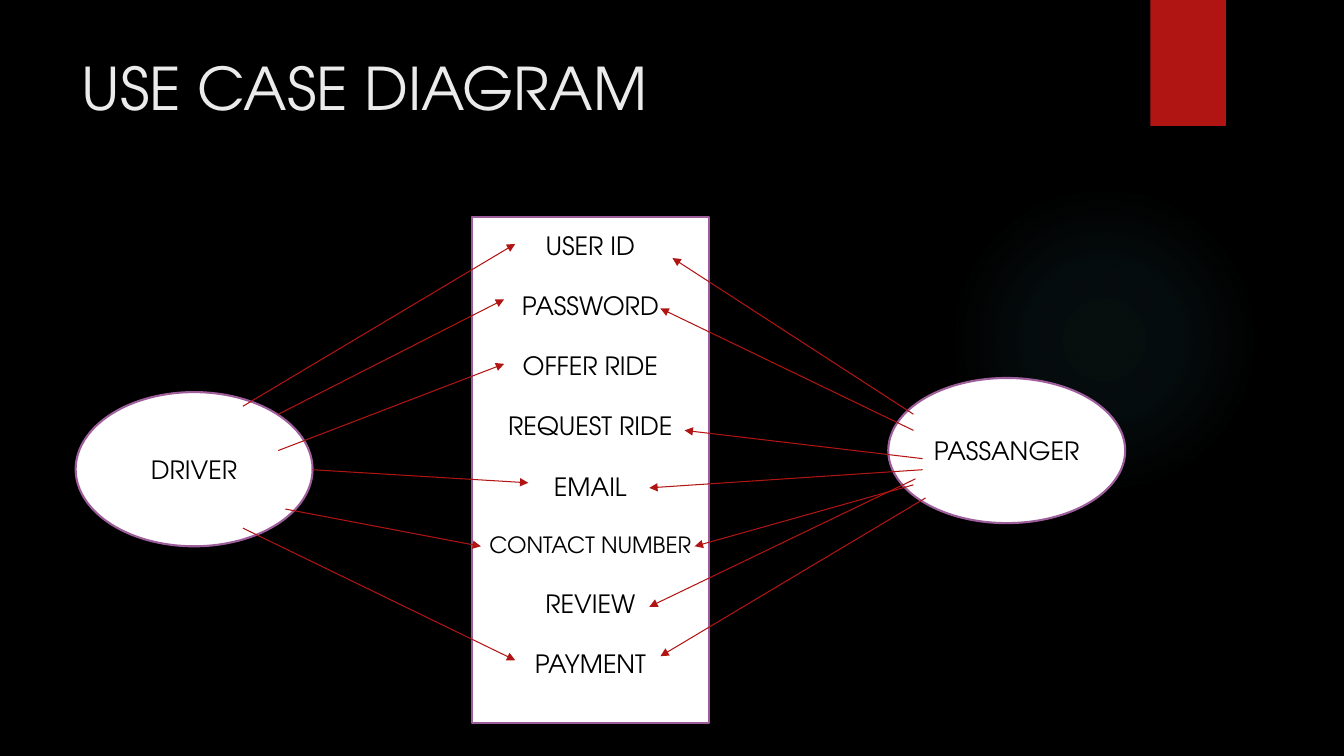
import dataclasses

import pptx
import pptx.dml.color
import pptx.enum.shapes
import pptx.enum.text
import pptx.oxml
import pptx.oxml.ns
import pptx.util

Inches = pptx.util.Inches
Pt = pptx.util.Pt
SHAPE = pptx.enum.shapes.MSO_SHAPE
ALIGN = pptx.enum.text.PP_ALIGN
ANCHOR = pptx.enum.text.MSO_ANCHOR


@dataclasses.dataclass(frozen=True)
class Theme:
    font: str = "TeX Gyre Adventor"
    background: str = "000000"
    title: str = "EBEBEB"
    text: str = "000000"
    panel: str = "FFFFFF"
    outline: str = "9E5E9B"
    accent: str = "B01513"
    glow: str = "50B9C1"
    title_size: float = 42
    body_size: float = 18
    small_size: float = 16
    row_gap: float = 21.5
    outline_width: float = 1.5
    arrow_width: float = 0.75


THEME = Theme()

# Boxes are left, top, width, height in inches
TITLE_BOX = (0.71, 0.46, 10.29, 1.53)
GLOW_BOX = (9.41, 1.83, 3.08, 3.08)
RIBBON_BOX = (11.41, 0, 0.75, 1.25)
CASES_BOX = (4.68, 2.15, 2.35, 5.02)
DRIVER_BOX = (0.75, 3.89, 2.35, 1.53)
PASSENGER_BOX = (8.81, 3.75, 2.35, 1.44)

USE_CASES = ["USER ID", "PASSWORD", "OFFER RIDE", "REQUEST RIDE",
             "EMAIL", "CONTACT NUMBER", "REVIEW", "PAYMENT"]

# Arrows: start offset within the actor, end offset within the use-case panel
DRIVER_ARROWS = [
    ((1.66, 0.14), (0.43, 0.27)),
    ((2.01, 0.22), (0.32, 0.82)),
    ((2.01, 0.58), (0.32, 1.46)),
    ((2.35, 0.77), (0.56, 2.64)),
    ((2.08, 1.16), (0.09, 3.27)),
    ((1.66, 1.35), (0.43, 4.40)),
]
PASSENGER_ARROWS = [
    ((0.25, 0.36), (1.99, 0.41)),
    ((0.25, 0.52), (1.87, 0.91)),
    ((0.34, 0.80), (2.11, 2.12)),
    ((0.34, 0.91), (1.76, 2.69)),
    ((0.25, 1.06), (2.21, 3.27)),
    ((0.27, 1.00), (1.76, 3.87)),
    ((0.37, 1.19), (1.87, 4.36)),
]


def color(value):
    return pptx.dml.color.RGBColor.from_string(value)


def write_text(paragraph, text, size=THEME.body_size, fill=THEME.text,
               align=ALIGN.CENTER, space_after=0):
    paragraph.alignment = align
    paragraph.space_after = Pt(space_after)
    run = paragraph.add_run()
    run.text = text
    run.font.name = THEME.font
    run.font.size = Pt(size)
    run.font.color.rgb = color(fill)


def add_filled_shape(slide, kind, box, fill, outline=None):
    shape = slide.shapes.add_shape(kind, *map(Inches, box))
    shape.shadow.inherit = False
    shape.fill.solid()
    shape.fill.fore_color.rgb = color(fill)
    if outline:
        shape.line.color.rgb = color(outline)
        shape.line.width = Pt(THEME.outline_width)
    else:
        shape.line.fill.background()
    return shape


def add_glow(slide, box):
    shape = add_filled_shape(slide, SHAPE.OVAL, box, THEME.glow)
    stops = "".join(
        f'<a:gs pos="{position * 1000}"><a:srgbClr val="{THEME.glow}">'
        f'<a:alpha val="{alpha * 1000}"/></a:srgbClr></a:gs>'
        for position, alpha in [(0, 7), (36, 6), (69, 0)])
    gradient = pptx.oxml.parse_xml(
        f'<a:gradFill {pptx.oxml.ns.nsdecls("a")}><a:gsLst>{stops}</a:gsLst>'
        '<a:path path="circle"><a:fillToRect l="50000" t="50000" '
        'r="50000" b="50000"/></a:path></a:gradFill>')
    properties = shape._element.spPr
    properties.replace(properties.find(pptx.oxml.ns.qn("a:solidFill")), gradient)


def add_title(slide, box, text):
    frame = slide.shapes.add_textbox(*map(Inches, box)).text_frame
    frame.word_wrap = True
    frame.vertical_anchor = ANCHOR.TOP
    write_text(frame.paragraphs[0], text, size=THEME.title_size,
               fill=THEME.title, align=ALIGN.LEFT)


def add_use_cases(slide, box, labels):
    frame = add_filled_shape(slide, SHAPE.RECTANGLE, box, THEME.panel,
                             THEME.outline).text_frame
    frame.word_wrap = True
    frame.vertical_anchor = ANCHOR.TOP
    frame.margin_top = Inches(0.13)
    for index, label in enumerate(labels):
        paragraph = frame.add_paragraph() if index else frame.paragraphs[0]
        size = THEME.small_size if label == "CONTACT NUMBER" else THEME.body_size
        write_text(paragraph, label, size=size, space_after=THEME.row_gap)


def add_actor(slide, box, label):
    frame = add_filled_shape(slide, SHAPE.OVAL, box, THEME.panel,
                             THEME.outline).text_frame
    frame.word_wrap = True
    frame.vertical_anchor = ANCHOR.MIDDLE
    write_text(frame.paragraphs[0], label)


def add_arrows(slide, actor_box, cases_box, arrows):
    for start, end in arrows:
        connector = slide.shapes.add_connector(
            pptx.enum.shapes.MSO_CONNECTOR.STRAIGHT,
            Inches(actor_box[0] + start[0]), Inches(actor_box[1] + start[1]),
            Inches(cases_box[0] + end[0]), Inches(cases_box[1] + end[1]))
        connector.line.color.rgb = color(THEME.accent)
        connector.line.width = Pt(THEME.arrow_width)
        # Arrowhead at the use case, no shadow
        namespace = pptx.oxml.ns.nsdecls("a")
        connector.line._get_or_add_ln().append(
            pptx.oxml.parse_xml(f'<a:tailEnd {namespace} type="triangle"/>'))
        connector._element.spPr.append(
            pptx.oxml.parse_xml(f'<a:effectLst {namespace}/>'))


def build_use_case_slide(presentation):
    slide = presentation.slides.add_slide(presentation.slide_layouts[6])
    slide.background.fill.solid()
    slide.background.fill.fore_color.rgb = color(THEME.background)

    # Decoration and title
    add_glow(slide, GLOW_BOX)
    add_filled_shape(slide, SHAPE.RECTANGLE, RIBBON_BOX, THEME.accent)
    add_title(slide, TITLE_BOX, "USE CASE DIAGRAM")

    # Diagram
    add_use_cases(slide, CASES_BOX, USE_CASES)
    add_actor(slide, DRIVER_BOX, "DRIVER")
    add_actor(slide, PASSENGER_BOX, "PASSANGER")
    add_arrows(slide, DRIVER_BOX, CASES_BOX, DRIVER_ARROWS)
    add_arrows(slide, PASSENGER_BOX, CASES_BOX, PASSENGER_ARROWS)


def main():
    presentation = pptx.Presentation()
    presentation.slide_width = Inches(13.33)
    presentation.slide_height = Inches(7.5)
    build_use_case_slide(presentation)
    presentation.save("out.pptx")


if __name__ == "__main__":
    main()
